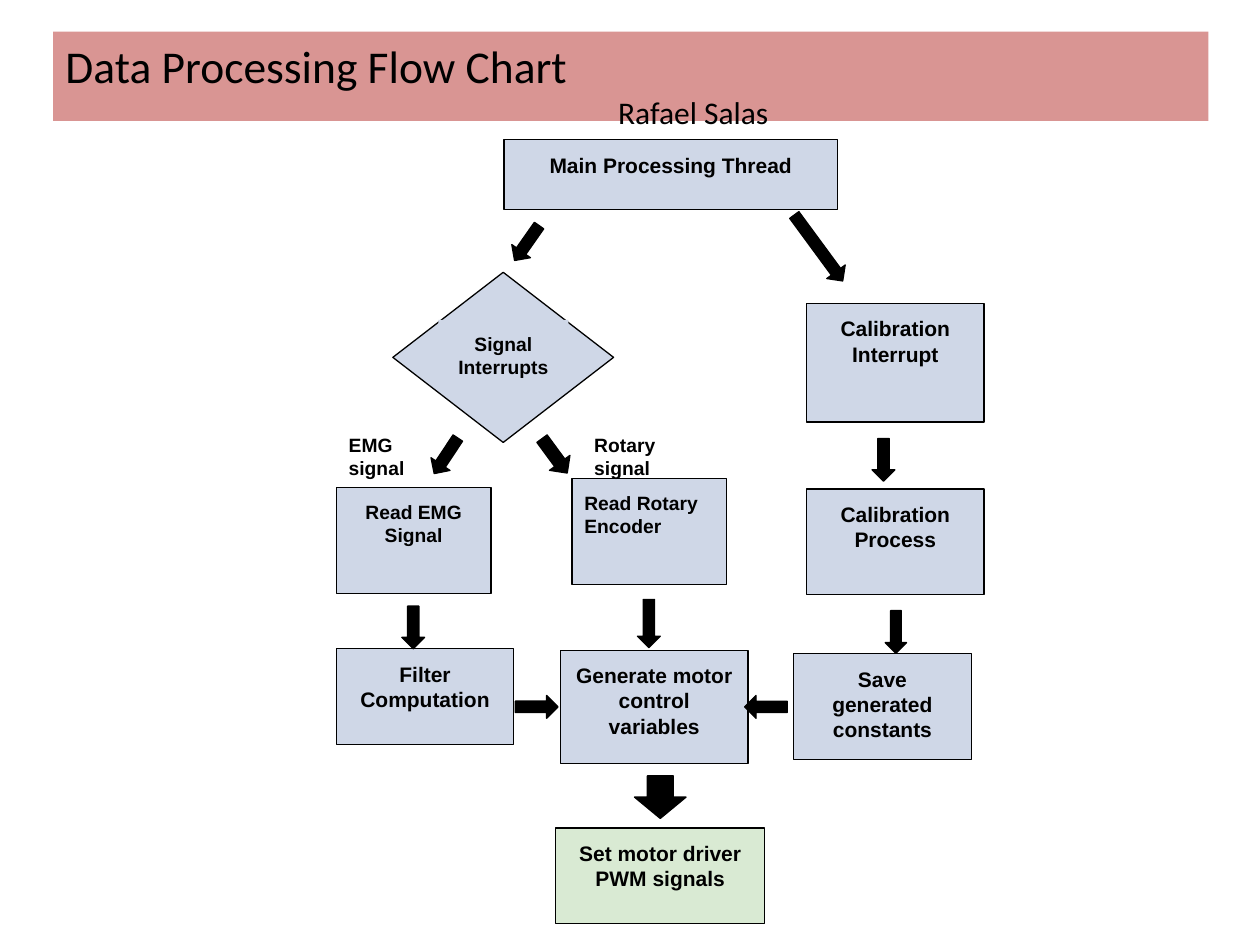
from pptx import Presentation
from pptx.dml.color import RGBColor
from pptx.enum import shapes, text
from pptx.util import Cm, Pt

COLORS = {"step": "CFD7E7", "result": "D9EAD3", "banner": "D99593", "ink": "000000"}
SHAPE = shapes.MSO_SHAPE
ALIGN = text.PP_ALIGN
INSET = 0.25

STEPS = [
    ("Main Processing Thread", 10.16, 2.82, 6.73, 1.4, 12),
    ("Filter Computation", 6.78, 13.08, 3.58, 1.93, 12),
    ("Read EMG Signal", 6.78, 9.83, 3.12, 2.13, 11),
    ("Calibration Interrupt", 16.26, 6.12, 3.58, 2.39, 12),
    ("Calibration Process", 16.26, 9.86, 3.58, 2.13, 12),
    ("Save generated constants", 16, 13.18, 3.58, 2.13, 12),
    ("Generate motor control variables", 11.3, 13.11, 3.78, 2.29, 12),
]

ARROWS = [
    (16.5, 5, 53.7, 1.65, 0.46),
    (10.62, 4.9, 125.1, 0.86, 0.46),
    (17.81, 9.27, 90, 0.86, 0.46),
    (11.18, 9.19, 53.7, 0.86, 0.51),
    (8.99, 9.19, 123.6, 0.86, 0.46),
    (18.06, 12.74, 90, 0.86, 0.43),
    (8.33, 12.65, 90, 0.86, 0.46),
    (10.82, 14.25, 0, 0.86, 0.46),
    (15.44, 14.25, 180, 0.86, 0.46),
    (13.08, 12.57, 90, 0.97, 0.46),
    (13.31, 16.07, 90, 0.86, 1.04),
]

BRANCH_LABELS = [("EMG signal", 6.78), ("Rotary signal", 11.73)]


def color(name):
    return RGBColor.from_string(COLORS[name])


def format_frame(frame, vertical_inset=INSET):
    frame.word_wrap = True
    frame.auto_size = text.MSO_AUTO_SIZE.NONE
    frame.vertical_anchor = text.MSO_ANCHOR.TOP
    frame.margin_left = frame.margin_right = Cm(INSET)
    frame.margin_top = frame.margin_bottom = Cm(vertical_inset)


def format_paragraph(paragraph, size, font="Arial", bold=True, align=ALIGN.LEFT):
    paragraph.alignment = align
    paragraph.font.name = font
    paragraph.font.size = Pt(size)
    paragraph.font.bold = bold
    paragraph.font.color.rgb = color("ink")


def write(holder, words, size, align):
    frame = holder.text_frame
    format_frame(frame)
    frame.text = words
    format_paragraph(frame.paragraphs[0], size, align=align)


def add_outline(slide, kind, left, top, width, height, fill="step", lined=True):
    outline = slide.shapes.add_shape(kind, Cm(left), Cm(top), Cm(width), Cm(height))
    outline.shadow.inherit = False
    outline.fill.solid()
    outline.fill.fore_color.rgb = color(fill)
    if lined:
        outline.line.color.rgb = color("ink")
        outline.line.width = Pt(0.75)
    else:
        outline.line.fill.background()
    return outline


def add_step(slide, words, left, top, width, height, size,
             fill="step", align=ALIGN.CENTER, lined=True):
    step = add_outline(slide, SHAPE.RECTANGLE, left, top, width, height, fill, lined)
    write(step, words, size, align)


def add_arrow(slide, center_x, center_y, angle, length, thickness):
    arrow = add_outline(slide, SHAPE.RIGHT_ARROW, center_x - length / 2,
                        center_y - thickness / 2, length, thickness, "ink")
    arrow.rotation = angle


def add_branch_label(slide, words, left):
    label = slide.shapes.add_textbox(Cm(left), Cm(8.48), Cm(2.26), Cm(1.4))
    write(label, words, 11, ALIGN.LEFT)


def format_title(slide):
    title = slide.shapes.title
    title.left, title.top, title.width, title.height = Cm(1.07), Cm(0.64), Cm(23.29), Cm(1.8)
    title.fill.solid()
    title.fill.fore_color.rgb = color("banner")
    frame = title.text_frame
    format_frame(frame, 0.13)
    frame.text = "Data Processing Flow Chart\nRafael Salas"
    heading, author = frame.paragraphs
    format_paragraph(heading, 26, "Calibri", False)
    format_paragraph(author, 18, "Calibri", False)
    author._p.get_or_add_pPr().set("marL", str(Cm(11.14)))


def main():
    deck = Presentation()
    deck.slide_width, deck.slide_height = Cm(25.4), Cm(19.05)
    slide = deck.slides.add_slide(deck.slide_layouts[5])
    format_title(slide)
    add_outline(slide, SHAPE.FLOWCHART_DECISION, 7.92, 5.49, 4.45, 3.43)
    add_step(slide, "Signal Interrupts", 8.84, 6.45, 2.62, 1.24, 11, lined=False)
    add_step(slide, "Read Rotary Encoder", 11.53, 9.65, 3.12, 2.13, 11, align=ALIGN.LEFT)
    for step in STEPS:
        add_step(slide, *step)
    add_step(slide, "Set motor driver PWM signals", 11.2, 16.69, 4.22, 1.93, 12, "result")
    for arrow in ARROWS:
        add_arrow(slide, *arrow)
    for label in BRANCH_LABELS:
        add_branch_label(slide, *label)
    deck.save("out.pptx")


if __name__ == "__main__":
    main()
